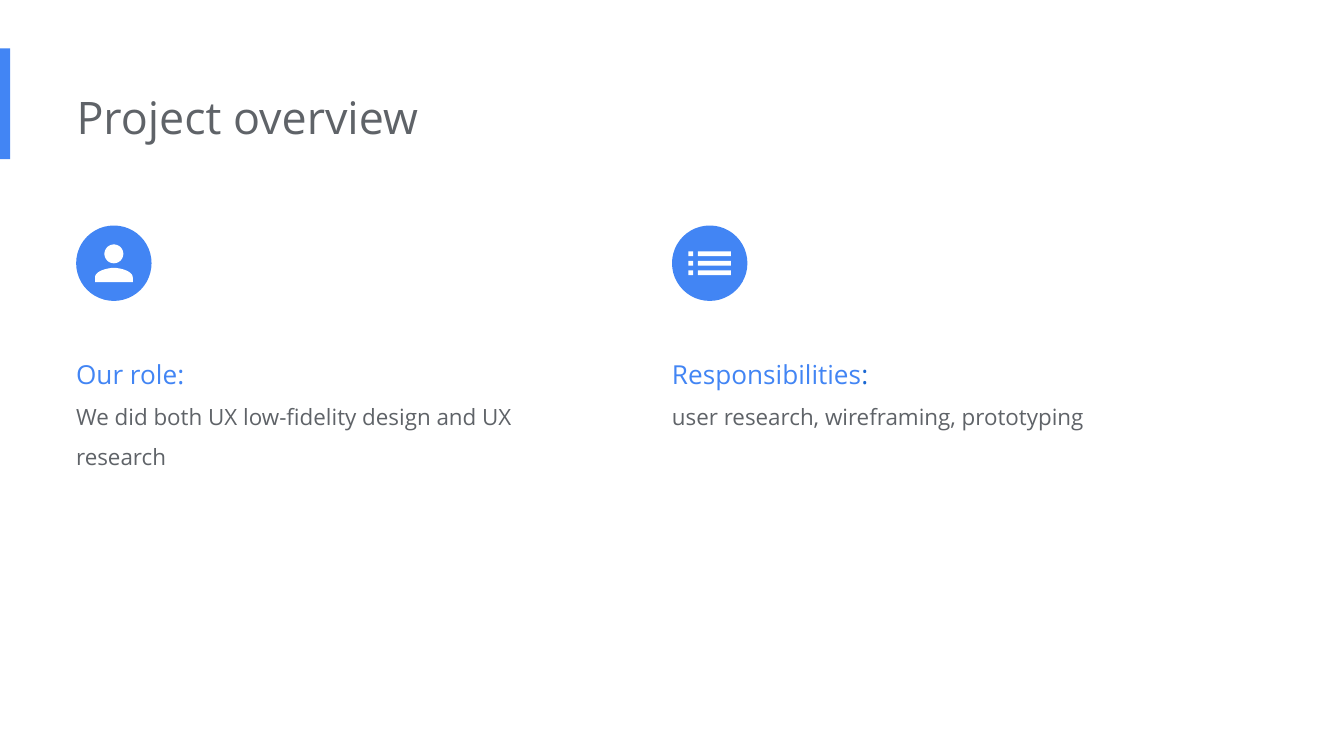
import math

import pptx
import pptx.dml.color
import pptx.enum.shapes
import pptx.enum.text
import pptx.util

Pt = pptx.util.Pt
COLORS = {"blue": "4285F4", "deep_blue": "1967D2", "gray": "5F6368", "white": "FFFFFF"}
FRAME_FORMAT = {
    "margin_left": Pt(0),
    "margin_right": Pt(7.2),
    "margin_top": Pt(7.2),
    "margin_bottom": Pt(7.2),
    "word_wrap": True,
    "vertical_anchor": pptx.enum.text.MSO_ANCHOR.TOP,
    "auto_size": pptx.enum.text.MSO_AUTO_SIZE.SHAPE_TO_FIT_TEXT,
}
ICON_SIZE = 40.4
ICON_TOP = 120.8


def cubic(start, control_1, control_2, end, steps=16):
    """Return evenly sampled points of a cubic Bezier curve."""
    points = []
    for step in range(steps + 1):
        t = step / steps
        weights = ((1 - t) ** 3, 3 * t * (1 - t) ** 2, 3 * t * t * (1 - t), t ** 3)
        points.append(tuple(
            sum(w * value for w, value in zip(weights, values))
            for values in zip(start, control_1, control_2, end)
        ))
    return points


def person_contours():
    """Return head and shoulders, relative to the icon's centre."""
    angles = [2 * math.pi * i / 48 for i in range(48)]
    head = [(5.05 * math.cos(a), -5 + 5.05 * math.sin(a)) for a in angles]
    right = cubic((0, 2.5), (3.4, 2.5), (10.1, 4.2), (10.1, 7.6)) + [(10.1, 10.1)]
    left = [(-x, y) for x, y in reversed(right)]
    return [head, right + left]


def list_contours():
    """Return three bulleted bars, relative to the icon's centre."""
    pitch, half_height = 5.07, 1.27
    return [
        [(x1, y - half_height), (x2, y - half_height),
         (x2, y + half_height), (x1, y + half_height)]
        for y in (-pitch, 0, pitch)
        for x1, x2 in ((-11.4, -8.85), (-6.3, 11.4))
    ]


class SlideBuilder:
    font = "Open Sans"

    def __init__(self, slide):
        self.slide = slide

    def color(self, name):
        return pptx.dml.color.RGBColor.from_string(COLORS[name])

    def paint(self, shape, color):
        shape.shadow.inherit = False
        shape.fill.solid()
        shape.fill.fore_color.rgb = self.color(color)
        shape.line.fill.background()

    def shape(self, kind, left, top, width, height, color):
        preset = getattr(pptx.enum.shapes.MSO_SHAPE, kind)
        shape = self.slide.shapes.add_shape(
            preset, Pt(left), Pt(top), Pt(width), Pt(height))
        self.paint(shape, color)

    def fill_frame(self, frame, paragraphs, line_spacing):
        """Fill a frame with paragraphs given as lists of (text, size, color)."""
        for name, value in FRAME_FORMAT.items():
            setattr(frame, name, value)
        for index, runs in enumerate(paragraphs):
            paragraph = frame.add_paragraph() if index else frame.paragraphs[0]
            paragraph.alignment = pptx.enum.text.PP_ALIGN.LEFT
            paragraph.line_spacing = line_spacing
            for text, size, color in runs:
                run = paragraph.add_run()
                run.text = text
                for name, value in {"name": self.font, "size": Pt(size)}.items():
                    setattr(run.font, name, value)
                run.font.color.rgb = self.color(color)

    def title(self, text, left, top, width, height):
        title = self.slide.shapes.title
        box = {"left": left, "top": top, "width": width, "height": height}
        for name, value in box.items():
            setattr(title, name, Pt(value))
        self.fill_frame(title.text_frame, [[(text, 24, "gray")]], 1.0)

    def text(self, paragraphs, left, top, width, height):
        box = self.slide.shapes.add_textbox(Pt(left), Pt(top), Pt(width), Pt(height))
        self.fill_frame(box.text_frame, paragraphs, 1.5)

    def icon(self, left, contours):
        self.shape("OVAL", left, ICON_TOP, ICON_SIZE, ICON_SIZE, "blue")
        center_x, center_y = left + ICON_SIZE / 2, ICON_TOP + ICON_SIZE / 2
        outlines = [
            [(Pt(center_x + x), Pt(center_y + y)) for x, y in contour]
            for contour in contours
        ]
        builder = self.slide.shapes.build_freeform(*outlines[0][0])
        for index, outline in enumerate(outlines):
            if index:
                builder.move_to(*outline[0])
            builder.add_line_segments(outline[1:], close=True)
        self.paint(builder.convert_to_shape(), "white")


def main():
    presentation = pptx.Presentation()
    presentation.slide_width, presentation.slide_height = Pt(720), Pt(405)
    title_only = presentation.slide_layouts[5]
    builder = SlideBuilder(presentation.slides.add_slide(title_only))

    builder.shape("RECTANGLE", 0, 26, 5.5, 59.3, "blue")
    builder.title("Project overview", 41, 41, 484.6, 44)

    columns = [
        (40.8, 76.3, person_contours(), [("Our role:", 14, "blue")],
         "We did both UX low-fidelity design and UX research"),
        (360, 54.7, list_contours(),
         [("Responsibilities", 14, "blue"), (":", 14, "deep_blue")],
         "user research, wireframing, prototyping"),
    ]
    for left, height, contours, heading, details in columns:
        builder.icon(left, contours)
        builder.text([heading, [(details, 12, "gray")]], left, 176.4, 271.4, height)

    presentation.save("out.pptx")


if __name__ == "__main__":
    main()
